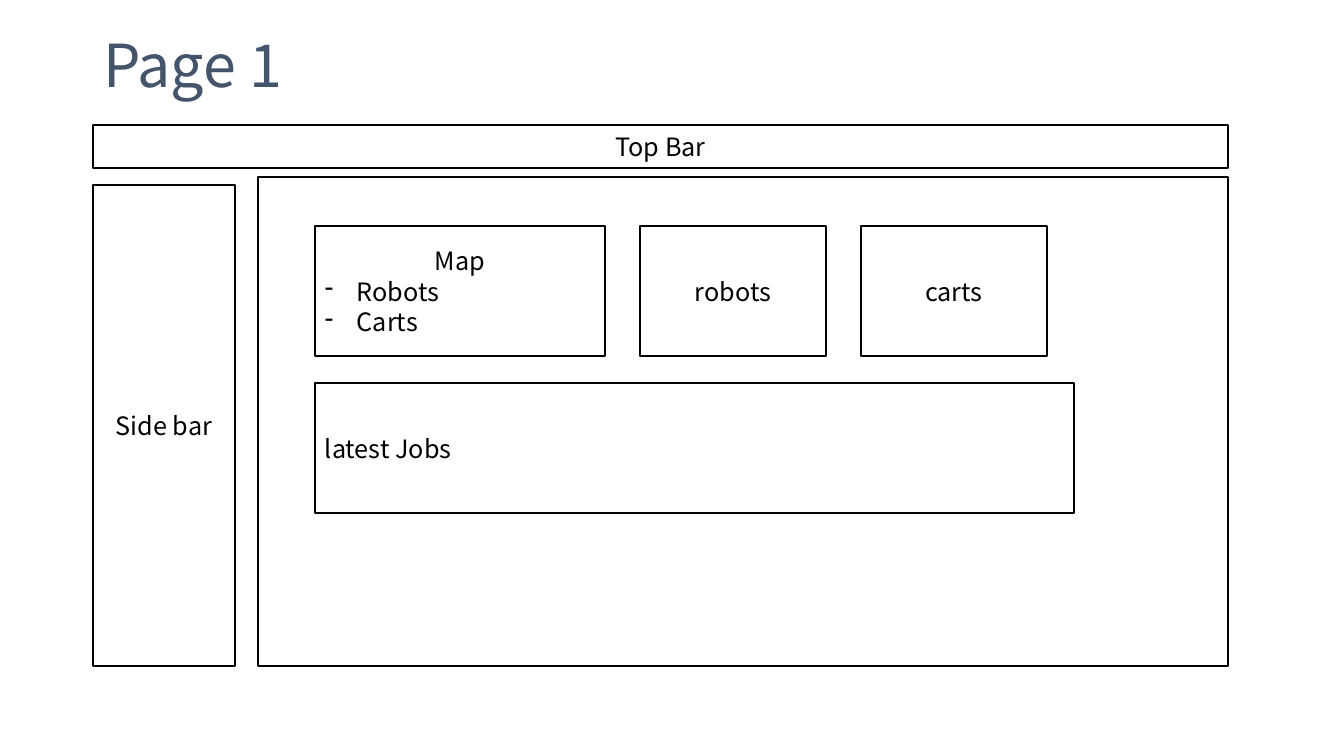
import pptx
import pptx.util
import pptx.dml.color
import pptx.enum.shapes
import pptx.enum.text
import pptx.oxml.xmlchemy
import lxml.etree

SCALE = 914400 / 100.8  # EMU in one px
COLORS = {"title": "44546A", "ink": "000000", "paper": "FFFFFF"}
FONT = "Noto Sans CJK KR"
CENTER = pptx.enum.text.PP_ALIGN.CENTER
LEFT = pptx.enum.text.PP_ALIGN.LEFT
MIDDLE = pptx.enum.text.MSO_ANCHOR.MIDDLE


def px(length):
    return pptx.util.Emu(round(length * SCALE))


def color(name):
    return pptx.dml.color.RGBColor.from_string(COLORS[name])


class Wireframe:
    def __init__(self, presentation):
        self.slide = presentation.slides.add_slide(presentation.slide_layouts[5])

    def style_paragraph(self, paragraph, size, ink, align):
        paragraph.alignment = align
        for run in paragraph.runs:
            run.font.name = FONT
            run.font.size = pptx.util.Pt(size)
            run.font.color.rgb = color(ink)

    def title(self, text, left, top, width, height):
        shape = self.slide.shapes.title
        shape.left, shape.top = px(left), px(top)
        shape.width, shape.height = px(width), px(height)
        frame = shape.text_frame
        frame.text = text
        frame.word_wrap = True
        frame.auto_size = pptx.enum.text.MSO_AUTO_SIZE.NONE
        frame.vertical_anchor = MIDDLE
        self.style_paragraph(frame.paragraphs[0], 42.3, "title", LEFT)
        frame.paragraphs[0].line_spacing = 0.9

    def box(self, left, top, width, height, text="", align=CENTER, items=()):
        shape = self.slide.shapes.add_shape(
            pptx.enum.shapes.MSO_SHAPE.RECTANGLE,
            px(left), px(top), px(width), px(height))
        shape.shadow.inherit = False
        shape.fill.solid()
        shape.fill.fore_color.rgb = color("paper")
        shape.line.color.rgb = color("ink")
        shape.line.width = pptx.util.Pt(1)
        frame = shape.text_frame
        frame.vertical_anchor = MIDDLE
        frame.text = text
        self.style_paragraph(frame.paragraphs[0], 18, "ink", align)
        for item in items:
            self.dash_item(frame.add_paragraph(), item)

    def dash_item(self, paragraph, text):
        paragraph.text = text
        self.style_paragraph(paragraph, 18, "ink", LEFT)
        properties = paragraph._p.get_or_add_pPr()
        indent = px(32)
        properties.set("marL", str(indent))
        properties.set("indent", str(-indent))
        bullet = lxml.etree.SubElement(properties, pptx.oxml.ns.qn("a:buChar"))
        bullet.set("char", "-")


def main():
    presentation = pptx.Presentation()
    presentation.slide_width = px(1344)
    presentation.slide_height = px(756)
    wireframe = Wireframe(presentation)
    wireframe.title("Page 1", 93, 40, 1159, 56)

    # Page frame
    wireframe.box(258, 177, 970, 489)
    wireframe.box(93, 185, 142, 481, "Side bar")
    wireframe.box(93, 125, 1135, 43, "Top Bar")

    # Content panels
    panel_left, panel_top, panel_height, gap = 315, 226, 130, 35
    left = panel_left
    for text, width, items in (("Map", 290, ("Robots", "Carts")),
                               ("robots", 186, ()),
                               ("carts", 186, ())):
        wireframe.box(left, panel_top, width, panel_height, text, items=items)
        left += width + gap
    wireframe.box(panel_left, 383, 759, panel_height, "latest Jobs", LEFT)

    presentation.save("out.pptx")


if __name__ == "__main__":
    main()
